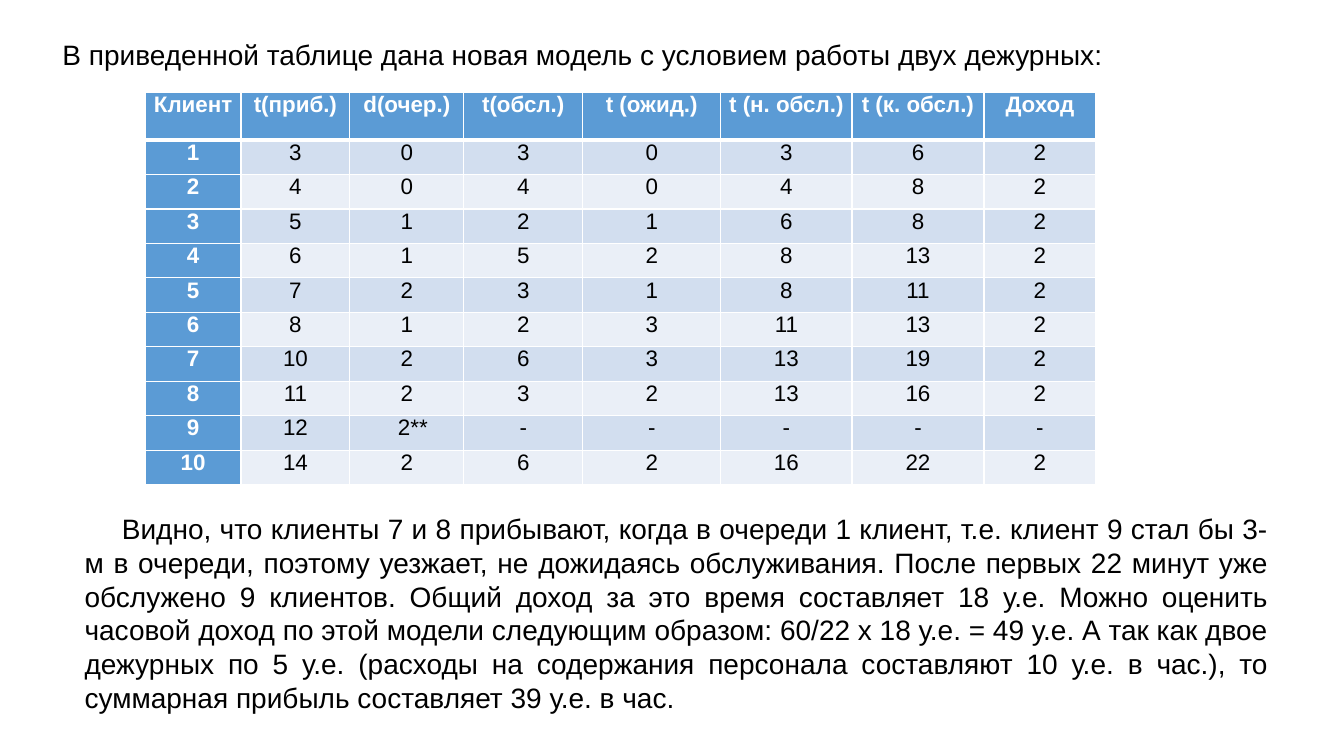
"""Builds the slide with the service model table for two attendants."""
from lxml import etree
from pptx import Presentation
from pptx import util as u
from pptx.dml.color import RGBColor
from pptx.enum import text
from pptx.oxml.ns import qn

PX = 9144
FONT = "Arial"
BLACK = RGBColor(0x00, 0x00, 0x00)
WHITE = RGBColor(0xFF, 0xFF, 0xFF)
BLUE = RGBColor(0x5B, 0x9B, 0xD5)
DARK_BAND = RGBColor(0xD2, 0xDE, 0xEF)
LIGHT_BAND = RGBColor(0xEA, 0xEF, 0xF7)

HEADINGS = ["Клиент", "t(приб.)", "d(очер.)", "t(обсл.)", "t (ожид.)",
            "t (н. обсл.)", "t (к. обсл.)", "Доход"]
CLIENTS = [
    "1 3 0 3 0 3 6 2",
    "2 4 0 4 0 4 8 2",
    "3 5 1 2 1 6 8 2",
    "4 6 1 5 2 8 13 2",
    "5 7 2 3 1 8 11 2",
    "6 8 1 2 3 11 13 2",
    "7 10 2 6 3 13 19 2",
    "8 11 2 3 2 13 16 2",
    "9 12 2** - - - - -",
    "10 14 2 6 2 16 22 2",
]
ROWS = [HEADINGS] + [client.split() for client in CLIENTS]
COLUMN_WIDTHS = [95, 108, 113, 118, 137, 130, 131, 111]
TABLE_HEIGHT = 389
HEADER_HEIGHT = 47

INTRO = "В приведенной таблице дана новая модель с условием работы двух дежурных:"
CONCLUSION = (
    "Видно, что клиенты 7 и 8 прибывают, когда в очереди 1 клиент, т.е. клиент 9 "
    "стал бы 3-м в очереди, поэтому уезжает, не дожидаясь обслуживания. После первых "
    "22 минут уже обслужено 9 клиентов. Общий доход за это время составляет 18 у.е. "
    "Можно оценить часовой доход по этой модели следующим образом: 60/22 х 18 у.е. = "
    "49 у.е. А так как двое дежурных по 5 у.е. (расходы на содержания персонала "
    "составляют 10 у.е. в час.), то суммарная прибыль составляет 39 у.е. в час."
)


def add_paragraph_box(slide, left, top, width, height, wording, alignment, indent):
    box = slide.shapes.add_textbox(left * PX, top * PX, width * PX, height * PX)
    frame = box.text_frame
    frame.word_wrap = True
    frame.text = wording
    paragraph = frame.paragraphs[0]
    paragraph.alignment = alignment
    paragraph._p.get_or_add_pPr().set("indent", str(indent * PX))
    font = paragraph.runs[0].font
    font.name, font.size, font.color.rgb = FONT, u.Pt(20), BLACK


def set_borders(cell, top_points, bottom_points):
    properties = cell._tc.get_or_add_tcPr()
    sides = [("a:lnL", 1), ("a:lnR", 1), ("a:lnT", top_points), ("a:lnB", bottom_points)]
    for position, (tag, points) in enumerate(sides):
        line = etree.Element(qn(tag), w=str(u.Pt(points)))
        fill = etree.SubElement(line, qn("a:solidFill"))
        etree.SubElement(fill, qn("a:srgbClr"), val=str(WHITE))
        properties.insert(position, line)


presentation = Presentation()
presentation.slide_width = 1333 * PX
presentation.slide_height = 750 * PX
slide = presentation.slides.add_slide(presentation.slide_layouts[6])

table = slide.shapes.add_table(
    len(ROWS), len(HEADINGS), 144 * PX, 92 * PX,
    sum(COLUMN_WIDTHS) * PX, TABLE_HEIGHT * PX).table
table.first_col = True
table.horz_banding = False
for column, width in zip(table.columns, COLUMN_WIDTHS):
    column.width = width * PX

for row_index, values in enumerate(ROWS):
    is_header = row_index == 0
    body_height = (TABLE_HEIGHT - HEADER_HEIGHT) * PX // len(CLIENTS)
    table.rows[row_index].height = HEADER_HEIGHT * PX if is_header else body_height
    for column_index, value in enumerate(values):
        is_heading = is_header or column_index == 0
        band = DARK_BAND if row_index % 2 else LIGHT_BAND
        cell = table.cell(row_index, column_index)
        cell.margin_left = (19 if value == "2**" else 7) * PX
        cell.margin_right = 7 * PX
        cell.margin_top = cell.margin_bottom = 0
        cell.fill.solid()
        cell.fill.fore_color.rgb = BLUE if is_heading else band
        set_borders(cell, 3 if row_index == 1 else 1, 3 if is_header else 1)
        cell.text_frame.text = value
        paragraph = cell.text_frame.paragraphs[0]
        paragraph.alignment = text.PP_ALIGN.CENTER
        font = paragraph.runs[0].font
        font.name, font.size, font.bold = FONT, u.Pt(16), is_heading
        font.color.rgb = WHITE if is_heading else BLACK

add_paragraph_box(slide, 74, 503, 1194, 212, CONCLUSION, text.PP_ALIGN.JUSTIFY, 37)
add_paragraph_box(slide, 52, 32, 1235, 44, INTRO, text.PP_ALIGN.LEFT, 0)

presentation.save("out.pptx")
